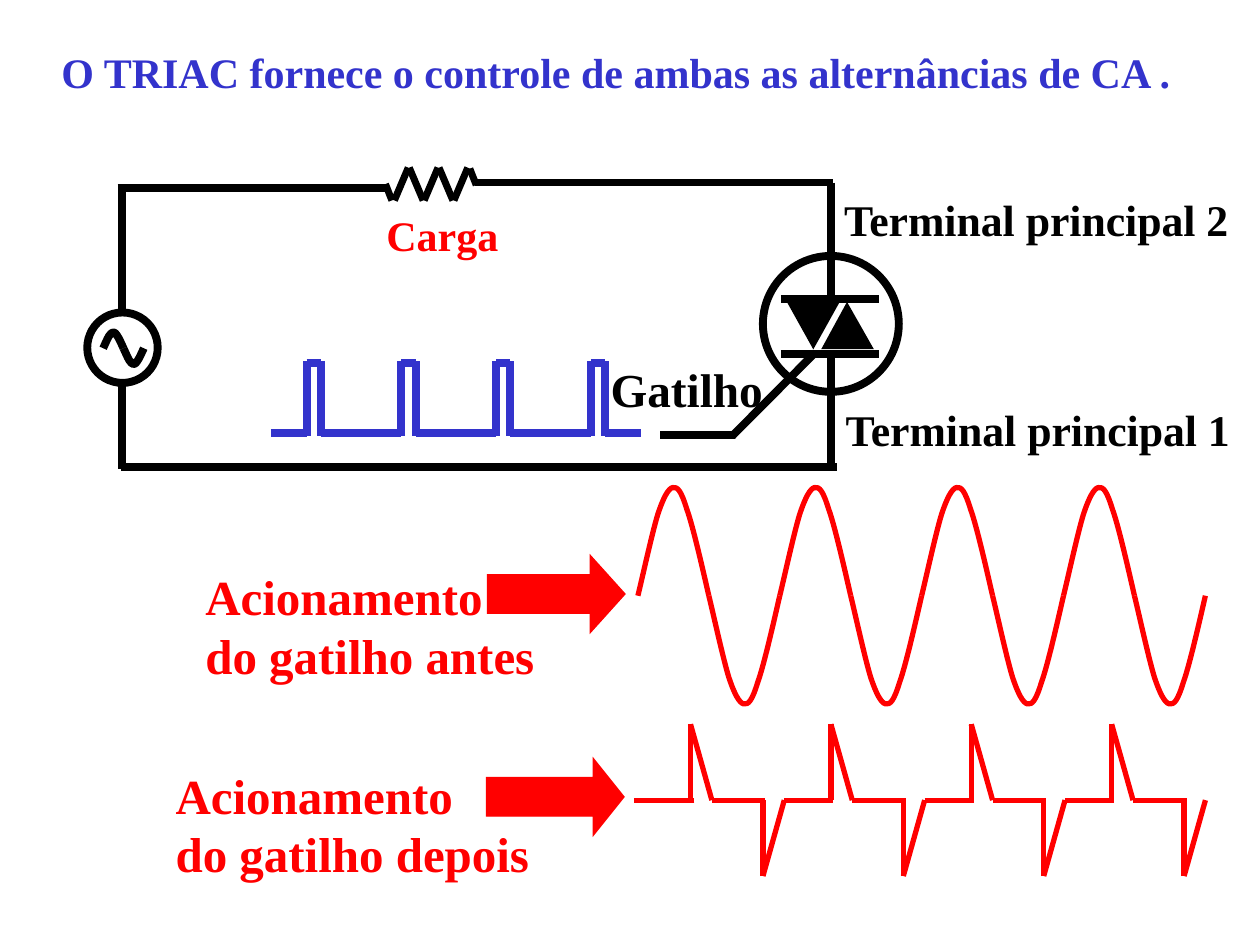
from lxml import etree
from pptx import Presentation
from pptx.dml.color import RGBColor
from pptx.enum.shapes import MSO_CONNECTOR, MSO_SHAPE
from pptx.enum.text import MSO_AUTO_SIZE
from pptx.oxml.ns import qn
from pptx.util import Cm, Pt

STRAIGHT = MSO_CONNECTOR.STRAIGHT
ELLIPSE, TRIANGLE, ARROW = MSO_SHAPE.OVAL, MSO_SHAPE.ISOSCELES_TRIANGLE, MSO_SHAPE.RIGHT_ARROW
FIT_TEXT = MSO_AUTO_SIZE.SHAPE_TO_FIT_TEXT
BLACK = RGBColor(0x00, 0x00, 0x00)
BLUE = RGBColor(0x33, 0x33, 0xCC)
RED = RGBColor(0xFF, 0x00, 0x00)

# Half a sine period as four Bezier curves, in parts of its width and height
HALF_WAVE = [
    (0.05, 0.13), (0.2, 0.58), (0.28, 0.75),
    (0.36, 0.91), (0.43, 0.99), (0.49, 1),
    (0.56, 1.01), (0.61, 0.97), (0.69, 0.8),
    (0.78, 0.64), (0.94, 0.17), (1, 0),
]

prs = Presentation()
prs.slide_width, prs.slide_height = Cm(25.4), Cm(19.05)
slide = prs.slides.add_slide(prs.slide_layouts[6])
shapes = slide.shapes


def draw_line(x1, y1, x2, y2, color=BLACK, width=4.5):
    line = shapes.add_connector(STRAIGHT, Cm(x1), Cm(y1), Cm(x2), Cm(y2))
    line.line.color.rgb = color
    line.line.width = Pt(width)
    etree.SubElement(line._element.spPr, qn("a:effectLst"))


def draw_half_wave(left, middle, width, height, color, weight):
    """Draw half a sine period; a negative height makes it dip."""
    points = [(Cm(left + width * x), Cm(middle - height * y)) for x, y in HALF_WAVE]
    builder = shapes.build_freeform(Cm(left), Cm(middle))
    builder.add_line_segments(points, close=False)
    wave = builder.convert_to_shape()
    segments = list(wave._element.iter(qn("a:lnTo")))
    outline = segments[0].getparent()
    for start in range(0, len(segments), 3):
        curve = etree.SubElement(outline, qn("a:cubicBezTo"))
        for segment in segments[start:start + 3]:
            curve.append(segment[0])
            outline.remove(segment)
    wave.shadow.inherit = False
    wave.fill.background()
    wave.line.color.rgb = color
    wave.line.width = Pt(weight)


# Circuit wires, triac bars and gate lead
for wire in [
    (16.75, 7.11, 16.75, 9.45),
    (16.75, 3.68, 16.75, 6.02),
    (16.43, 7.11, 14.76, 8.79),
    (14.81, 8.77, 13.31, 8.77),
    (15.74, 6.02, 17.72, 6.02),
    (15.74, 7.13, 17.72, 7.13),
    (2.46, 6.35, 2.46, 3.84),
    (2.37, 3.79, 7.8, 3.79),
    (16.79, 3.68, 9.58, 3.68),
    (2.46, 9.45, 2.46, 7.65),
    (2.44, 9.42, 16.87, 9.42),
]:
    draw_line(*wire)

# Load resistor
draw_line(7.77, 3.71, 7.9, 4.04, width=4)
for tooth in range(3):
    x = 7.95 + 0.6 * tooth
    draw_line(x, 4.04, x + 0.28, 3.38, width=4)
    if tooth < 2:
        draw_line(x + 0.3, 3.38, x + 0.58, 4.04, width=4)
draw_line(9.47, 3.4, 9.6, 3.73, width=4)

# Triac, source and arrows: kind, left, top, width, height, fill, line, weight, rotation, adjustments
for kind, left, top, width, height, fill, color, weight, rotation, adjustments in [
    (ELLIPSE, 15.38, 5.16, 2.74, 2.74, None, BLACK, 4.5, 0, []),
    (TRIANGLE, 16.69, 6.25, 0.79, 0.71, BLACK, BLACK, 4.5, 0, [0.49]),
    (TRIANGLE, 16, 6.17, 0.79, 0.71, BLACK, BLACK, 4.5, 180, [0.5]),
    (ELLIPSE, 1.76, 6.3, 1.42, 1.42, None, BLACK, 4.5, 0, []),
    (ARROW, 9.81, 15.29, 2.77, 1.55, RED, RED, 0.75, 0, [0.5, 0.4]),
    (ARROW, 9.83, 11.2, 2.77, 1.55, RED, RED, 0.75, 0, [0.5, 0.45]),
]:
    symbol = shapes.add_shape(kind, Cm(left), Cm(top), Cm(width), Cm(height))
    symbol.shadow.inherit = False
    symbol.rotation = rotation
    if fill is None:
        symbol.fill.background()
    else:
        symbol.fill.solid()
        symbol.fill.fore_color.rgb = fill
    symbol.line.color.rgb = color
    symbol.line.width = Pt(weight)
    outline = symbol._element.spPr.find(qn("a:ln"))
    etree.SubElement(outline, qn("a:miter"), lim="800000")
    for index, value in enumerate(adjustments):
        symbol.adjustments[index] = value

draw_half_wave(2.08, 7.02, 0.41, 0.32, BLACK, 4.5)
draw_half_wave(2.49, 7.02, 0.41, -0.32, BLACK, 4.5)

# Gate pulses
PULSE_STEP, PULSE_WIDTH = 1.91, 0.29
draw_line(5.46, 8.72, 6.18, 8.72, BLUE)
for pulse in range(4):
    rise = 6.18 + PULSE_STEP * pulse
    fall = rise + PULSE_WIDTH
    base_end = rise + PULSE_STEP if pulse < 3 else 12.93
    draw_line(rise, 8.78, rise, 7.28, BLUE)
    draw_line(fall, 8.78, fall, 7.28, BLUE)
    draw_line(rise, 7.31, fall, 7.31, BLUE)
    draw_line(fall, 8.73, base_end, 8.73, BLUE)

# Full sine output with early triggering
for half in range(8):
    draw_half_wave(12.86 + 1.43 * half, 12.01, 1.43, 2.18 * (-1) ** half, RED, 3)

# Clipped output with late triggering
CYCLE, BASE, SPIKE, SLOPE = 2.83, 16.13, 1.53, 0.43
draw_line(14, BASE, 12.78, BASE, RED, 3)
for cycle in range(4):
    up = 13.92 + CYCLE * cycle
    down = up + 1.46
    for x, tip in [(up, BASE - SPIKE), (down, BASE + SPIKE)]:
        draw_line(x, tip, x, BASE, RED, 3)
        draw_line(x, tip, x + SLOPE, BASE, RED, 3)
    draw_line(up + SLOPE, BASE, down + 0.05, BASE, RED, 3)
    if cycle < 3:
        draw_line(down + SLOPE, BASE, up + CYCLE + 0.05, BASE, RED, 3)

# Labels: left, top, width, height, size, colour, paragraphs
for left, top, width, height, size, color, paragraphs in [
    (7.54, 4.09, 2.77, 1.27, 24, RED, ["Carga"]),
    (16.8, 8, 8.33, 1.32, 25, BLACK, ["Terminal principal 1"]),
    (16.77, 3.76, 8.33, 1.32, 25, BLACK, ["Terminal principal 2"]),
    (12.06, 7.14, 3.58, 1.4, 27, BLACK, ["Gatilho"]),
    (0.99, 0.81, 22.94, 1.27, 24, BLUE,
     ["O TRIAC fornece o controle de ambas as alternâncias de CA ."]),
    (3.89, 11.3, 7.14, 2.64, 28, RED, ["Acionamento", "do gatilho antes"]),
    (3.29, 15.3, 7.7, 2.64, 28, RED, ["Acionamento", "do gatilho depois"]),
]:
    frame = shapes.add_textbox(Cm(left), Cm(top), Cm(width), Cm(height)).text_frame
    frame.word_wrap = False
    frame.auto_size = FIT_TEXT
    frame.text = "\n".join(paragraphs)
    font_format = {"name": "Times New Roman", "size": Pt(size), "bold": True}
    for paragraph in frame.paragraphs:
        font = paragraph.runs[0].font
        for attribute, value in font_format.items():
            setattr(font, attribute, value)
        font.color.rgb = color

prs.save("out.pptx")
